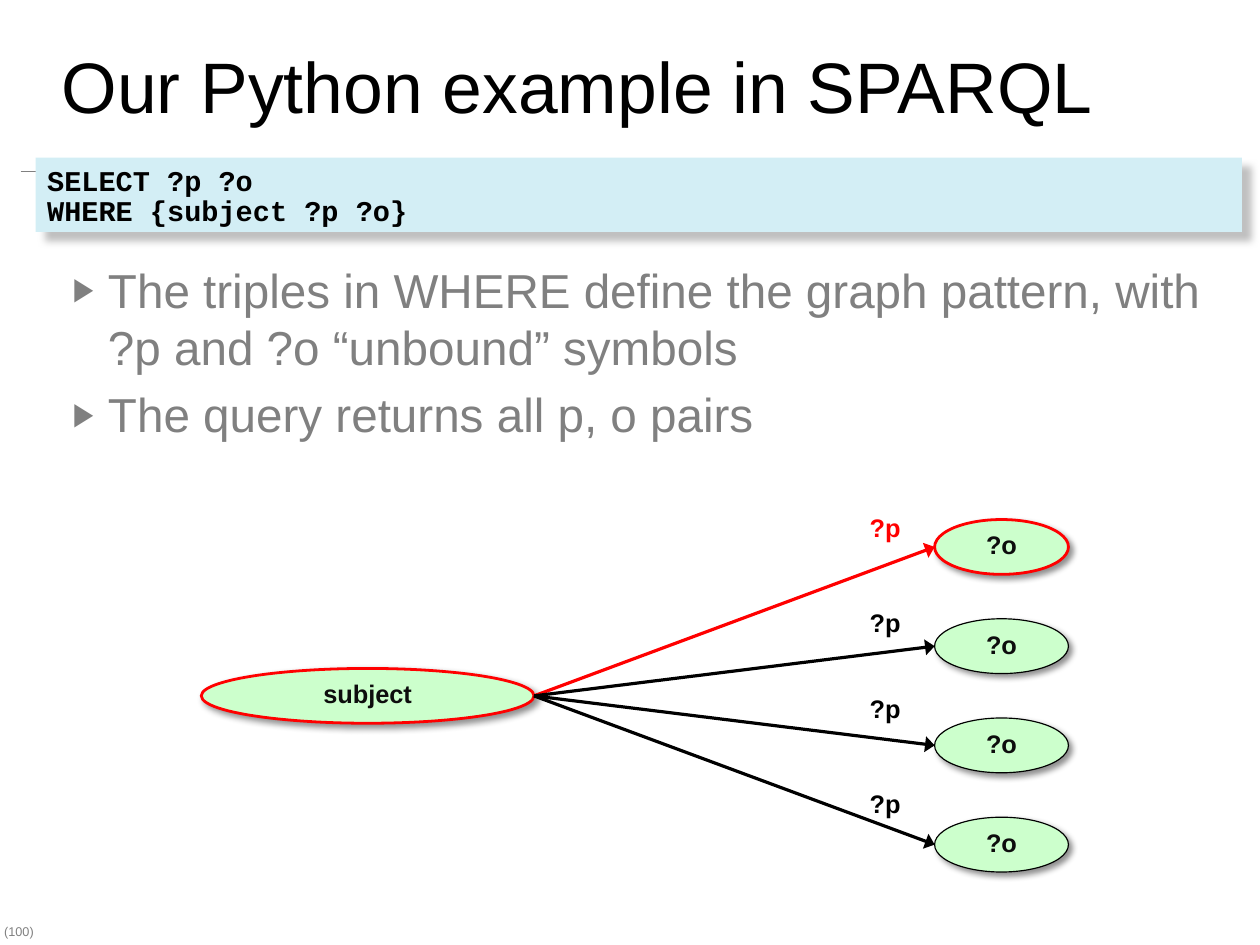
from dataclasses import dataclass

import pptx
import pptx.dml.color
import pptx.enum.shapes
import pptx.enum.text
import pptx.oxml
import pptx.oxml.ns
import pptx.util

SLIDE_W, SLIDE_H = pptx.util.Cm(28), pptx.util.Cm(21)
COLORS = {
    "black": "000000", "ink": "0D0D0D", "gray": "808080", "red": "FF0000",
    "code": "D3EEF5", "node": "CCFFCC", "code_shadow": "C0C0C0",
}
ALIGN = pptx.enum.text.PP_ALIGN
ANCHOR = pptx.enum.text.MSO_ANCHOR
SHAPE = pptx.enum.shapes.MSO_SHAPE


# Grid of 100 columns by 100 rows
def col(n: float) -> int:
    return round(SLIDE_W * n / 100)


def row(n: float) -> int:
    return round(SLIDE_H * n / 100)


@dataclass
class Box:
    x: float
    y: float
    w: float
    h: float

    @property
    def mid(self) -> float:
        return self.y + self.h / 2

    def emu(self) -> tuple:
        return col(self.x), row(self.y), col(self.w), row(self.h)


@dataclass
class Style:
    size: float
    color: str
    bold: bool = False
    font: str = "Arial"
    spacing: float = 1.0
    align: int = ALIGN.LEFT


@dataclass
class Shadow:
    color: str
    alpha: int
    blur: float
    dist: float


@dataclass
class Triple:
    color: str
    outline: float
    label_y: float


def rgb(name: str) -> pptx.dml.color.RGBColor:
    return pptx.dml.color.RGBColor.from_string(COLORS[name])


def xml(body: str):
    tag, rest = body.split(" ", 1)
    return pptx.oxml.parse_xml(f"<{tag} {pptx.oxml.ns.nsdecls('a')} {rest}")


# Text
def write(tf, lines: list, style: Style) -> None:
    for i, text in enumerate(lines):
        p = tf.paragraphs[0] if i == 0 else tf.add_paragraph()
        p.alignment, p.line_spacing = style.align, style.spacing
        r = p.add_run()
        r.text = text
        r.font.name, r.font.size = style.font, pptx.util.Pt(style.size)
        r.font.bold, r.font.color.rgb = style.bold, rgb(style.color)


def set_frame(tf, anchor, left: float, top: float) -> None:
    tf.word_wrap, tf.vertical_anchor = True, anchor
    tf.auto_size = pptx.enum.text.MSO_AUTO_SIZE.NONE
    tf.margin_left = tf.margin_right = col(left)
    tf.margin_top = tf.margin_bottom = row(top)


def place(sp, box: Box) -> None:
    sp.left, sp.top, sp.width, sp.height = box.emu()


def add_bullet(p) -> None:
    pPr = p._p.get_or_add_pPr()
    pPr.set("marL", str(col(4)))
    pPr.set("indent", str(-col(2.81)))
    for body in (f'a:buClr ><a:srgbClr val="{COLORS["gray"]}"/></a:buClr>',
                 'a:buSzPct val="68000"/>',
                 'a:buFont typeface="Arial"/>',
                 'a:buChar char="▶"/>'):
        pPr.append(xml(body))


def add_label(slide, box: Box, text: str, style: Style, left: float = 0.91) -> None:
    tf = slide.shapes.add_textbox(*box.emu()).text_frame
    set_frame(tf, ANCHOR.TOP, left, 0.6)
    write(tf, [text], style)


# Shapes and lines
def add_panel(slide, kind, box: Box, fill: str, shadow: Shadow):
    sp = slide.shapes.add_shape(kind, *box.emu())
    sp.fill.solid()
    sp.fill.fore_color.rgb = rgb(fill)
    sp.line.fill.background()
    sp.shadow.inherit = False
    effects = sp._element.spPr.find(pptx.oxml.ns.qn("a:effectLst"))
    effects.append(xml(
        f'a:outerShdw blurRad="{pptx.util.Pt(shadow.blur)}" dist="{pptx.util.Pt(shadow.dist)}" '
        f'dir="2700000" algn="tl" rotWithShape="0"><a:srgbClr val="{COLORS[shadow.color]}">'
        f'<a:alpha val="{shadow.alpha * 1000}"/></a:srgbClr></a:outerShdw>'))
    return sp


def add_node(slide, box: Box, text: str, color: str, outline: float) -> None:
    sp = add_panel(slide, SHAPE.OVAL, box, "node", Shadow("black", 43, 4, 3))
    sp.line.color.rgb, sp.line.width = rgb(color), pptx.util.Pt(outline)
    set_frame(sp.text_frame, ANCHOR.MIDDLE, 0.91, 0.6)
    write(sp.text_frame, [text], Style(16, "ink", True, spacing=0.87, align=ALIGN.CENTER))


def add_line(slide, x1: float, y1: float, x2: float, y2: float,
             color: str, width: float, arrow: bool = False) -> None:
    line = slide.shapes.add_connector(pptx.enum.shapes.MSO_CONNECTOR.STRAIGHT,
                                      col(x1), row(y1), col(x2), row(y2))
    line.line.color.rgb, line.line.width = rgb(color), pptx.util.Pt(width)
    spPr = line._element.spPr
    if arrow:
        ln = spPr.find(pptx.oxml.ns.qn("a:ln"))
        ln.append(xml('a:tailEnd type="triangle" w="lg" len="med"/>'))
    spPr.append(xml("a:effectLst />"))


TRIPLES = [
    Triple("red", 1.75, 54),
    Triple("black", 0.75, 64.04),
    Triple("black", 0.75, 73.16),
    Triple("black", 0.75, 83.19),
]
SUBJECT = Box(15.97, 70.74, 26.41, 5.8)
OBJECTS = [Box(74.18, 54.98 + 10.5 * i, 10.62, 5.8) for i in range(len(TRIPLES))]


def main() -> None:
    prs = pptx.Presentation()
    prs.slide_width = SLIDE_W
    prs.slide_height = SLIDE_H
    slide = prs.slides.add_slide(prs.slide_layouts[1])

    # Title and bullet list
    title, body = slide.shapes.title, slide.placeholders[1]
    place(title, Box(3.9, 0.6, 93.01, 16.69))
    set_frame(title.text_frame, ANCHOR.MIDDLE, 1, 0.73)
    write(title.text_frame, ["Our Python example in SPARQL"], Style(45, "black"))

    place(body, Box(3.57, 26.84, 92.83, 66.02))
    set_frame(body.text_frame, ANCHOR.TOP, 1, 0.73)
    write(body.text_frame, [
        "The triples in WHERE define the graph pattern, with ?p and ?o “unbound” symbols",
        "The query returns all p, o pairs",
    ], Style(30, "gray"))
    for i, p in enumerate(body.text_frame.paragraphs):
        add_bullet(p)
        p.space_before = pptx.util.Pt(6.6 if i else 0)

    # Page number and header rule
    add_label(slide, Box(0, 97.34, 4.26, 2.66), "(100)", Style(8, "gray", spacing=0.87), 0.32)
    add_line(slide, 1.63, 18.14, 98.46, 18.14, "gray", 1)

    # Query
    query = add_panel(slide, SHAPE.RECTANGLE, Box(2.83, 16.69, 95.74, 7.86), "code",
                      Shadow("code_shadow", 100, 5, 8))
    set_frame(query.text_frame, ANCHOR.TOP, 0.91, 0.97)
    write(query.text_frame, ["SELECT ?p ?o", "WHERE {subject ?p ?o}"],
          Style(18, "black", True, "Courier New", 0.88))

    # Graph: nodes, then arrows and their labels
    add_node(slide, SUBJECT, "subject", "red", 1.75)
    for triple, box in zip(TRIPLES, OBJECTS):
        add_node(slide, box, "?o", triple.color, triple.outline)
    for triple, box in zip(TRIPLES, OBJECTS):
        add_line(slide, SUBJECT.x + SUBJECT.w, SUBJECT.mid, box.x, box.mid,
                 triple.color, 2, arrow=True)
        add_label(slide, Box(68.11, triple.label_y, 4.54, 4.11), "?p",
                  Style(16, triple.color, True, spacing=0.87))

    prs.save("out.pptx")


if __name__ == "__main__":
    main()
